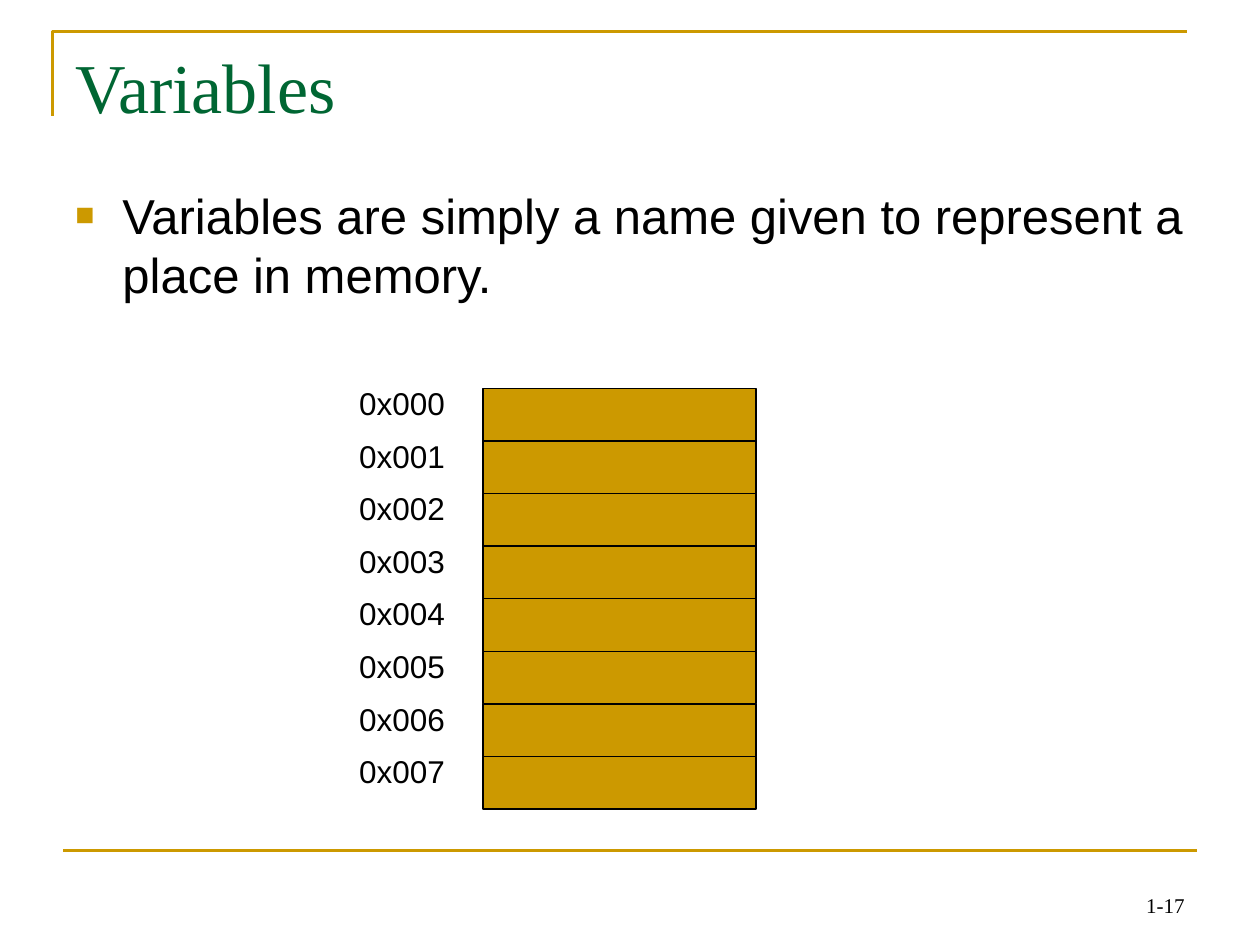
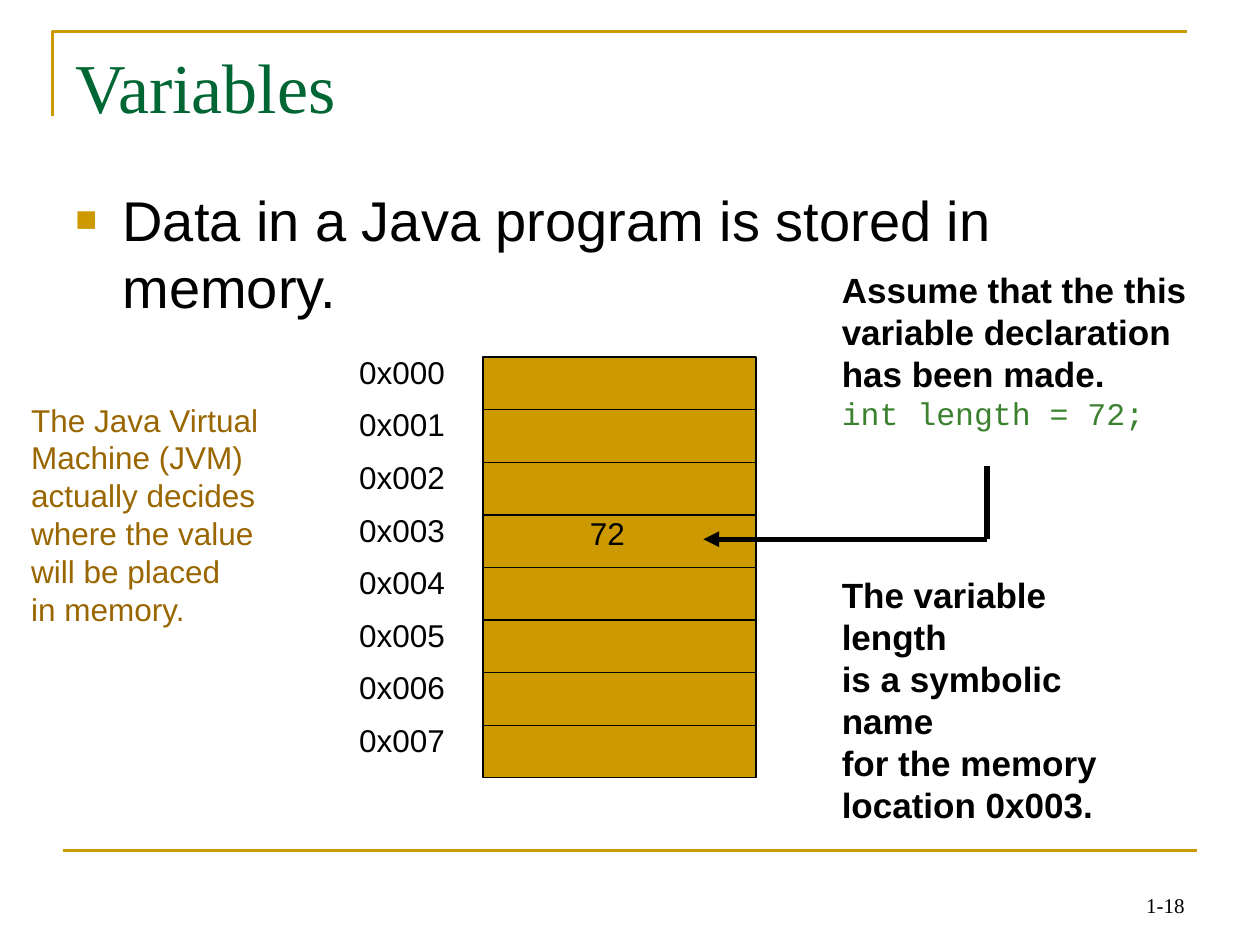
from dataclasses import dataclass

from lxml import etree
from pptx import Presentation
from pptx.dml.color import RGBColor
from pptx.enum import shapes, text
from pptx.oxml import ns
from pptx.util import Cm, Pt


@dataclass(frozen=True)
class Style:
    font: str
    size: int
    color: str
    bold: bool = False


@dataclass(frozen=True)
class Theme:
    gold: str = "CC9900"
    black: str = "000000"
    title: Style = Style("Times New Roman", 40, "006633")
    number: Style = Style("Times New Roman", 12, "000000")
    body: Style = Style("Arial", 28, "000000")
    large_body: Style = Style("Arial", 32, "000000")
    label: Style = Style("Arial", 18, "000000")
    aside: Style = Style("Arial", 18, "996600")
    note: Style = Style("Arial", 20, "000000", True)
    code: Style = Style("Courier New", 18, "3B812F")
    rule_width: float = 1.5
    cell_width: float = 0.75
    arrow_width: float = 3


@dataclass(frozen=True)
class Box:
    left: float
    top: float
    width: float
    height: float

    def region(self, left, top, width, height):
        return Box(self.left + left, self.top + top, width, height)

    def lengths(self):
        return Cm(self.left), Cm(self.top), Cm(self.width), Cm(self.height)


THEME = Theme()
PAGE = Box(0, 0, 25.4, 19.05)
ROW_HEIGHT = 1.06
ROW_COUNT = 8


def add_text(parent, box, lines, align=text.PP_ALIGN.LEFT, anchor=text.MSO_ANCHOR.TOP):
    frame = parent.add_textbox(*box.lengths()).text_frame
    frame.word_wrap = True
    frame.vertical_anchor = anchor
    for index, (words, style) in enumerate(lines):
        para = frame.paragraphs[0] if index == 0 else frame.add_paragraph()
        para.alignment = align
        span = para.add_run()
        span.text = words
        span.font.name = style.font
        span.font.size = Pt(style.size)
        span.font.bold = style.bold
        span.font.color.rgb = RGBColor.from_string(style.color)
    return frame


def set_line(shape, color, width):
    shape.line.color.rgb = RGBColor.from_string(color)
    shape.line.width = Pt(width)


def add_rule(parent, start, end, color, width, arrow=False):
    rule = parent.add_connector(
        shapes.MSO_CONNECTOR.STRAIGHT, *(Cm(value) for value in start + end)
    )
    set_line(rule, color, width)
    if arrow:
        head = etree.SubElement(rule.line._get_or_add_ln(), ns.qn("a:tailEnd"))
        head.set("type", "triangle")
    etree.SubElement(rule._element.spPr, ns.qn("a:effectLst"))


def add_bullet(para, color):
    props = para._p.get_or_add_pPr()
    props.set("marL", str(Cm(0.95)))
    props.set("indent", str(-Cm(0.95)))
    tint = etree.SubElement(props, ns.qn("a:buClr"))
    etree.SubElement(tint, ns.qn("a:srgbClr")).set("val", color)
    etree.SubElement(props, ns.qn("a:buSzPct")).set("val", "65000")
    etree.SubElement(props, ns.qn("a:buFont")).set("typeface", "Arial")
    etree.SubElement(props, ns.qn("a:buChar")).set("char", "■")


def draw_frame(page, box, number):
    corner = box.region(1.06, 0.64, 22.86, 1.69)
    builder = page.shapes.build_freeform(
        Cm(corner.left), Cm(corner.top + corner.height)
    )
    builder.add_line_segments(
        [
            (Cm(corner.left), Cm(corner.top)),
            (Cm(corner.left + corner.width), Cm(corner.top)),
        ],
        close=False,
    )
    outline = builder.convert_to_shape()
    outline.shadow.inherit = False
    outline.fill.background()
    set_line(outline, THEME.gold, THEME.rule_width)

    base = box.region(1.27, 17.15, 22.86, 0)
    add_rule(
        page.shapes,
        (base.left, base.top),
        (base.left + base.width, base.top),
        THEME.gold,
        THEME.rule_width,
    )
    add_text(
        page.shapes,
        box.region(18.21, 17.35, 5.92, 1.27),
        [(number, THEME.number)],
        text.PP_ALIGN.RIGHT,
        text.MSO_ANCHOR.BOTTOM,
    )


def draw_statement(page, box, title, statement, style):
    add_text(page.shapes, box.region(0, 0, box.width, 3.18), [(title, THEME.title)])
    frame = add_text(
        page.shapes, box.region(0, 2.85, box.width, 13.44), [(statement, style)]
    )
    add_bullet(frame.paragraphs[0], THEME.gold)


def draw_memory(page, box):
    group = page.shapes.add_group_shape().shapes
    for row in range(ROW_COUNT):
        top = row * ROW_HEIGHT
        cell = group.add_shape(
            shapes.MSO_SHAPE.RECTANGLE,
            *box.region(2.75, top + 0.21, 5.5, ROW_HEIGHT).lengths(),
        )
        cell.shadow.inherit = False
        cell.fill.solid()
        cell.fill.fore_color.rgb = RGBColor.from_string(THEME.gold)
        set_line(cell, THEME.black, THEME.cell_width)
        add_text(group, box.region(0, top, 2.62, 1.27), [(f"0x{row:03}", THEME.label)])


def draw_aside(page, box):
    lines = (
        "The Java Virtual",
        "Machine (JVM)",
        "actually decides",
        "where the value",
        "will be placed",
        "in memory.",
    )
    add_text(page.shapes, box, [(line, THEME.aside) for line in lines])


def draw_declaration(page, box):
    group = page.shapes.add_group_shape().shapes
    assumption = ("Assume that the this", "variable declaration", "has been made.")
    meaning = (
        "The variable length",
        "is a symbolic name",
        "for the memory",
        "location 0x003.",
    )
    add_text(group, box.region(0, 4.95, 1.35, 1.27), [("72", THEME.label)])
    add_text(
        group,
        box.region(5.08, 0, 8.64, 3.81),
        [(line, THEME.note) for line in assumption]
        + [("int length = 72;", THEME.code)],
    )
    add_text(
        group,
        box.region(5.08, 6.15, 6.4, 3.63),
        [(line, THEME.note) for line in meaning],
    )
    elbow = (box.left + 8.26, box.top + 5.59)
    tip = (box.left + 2.54, elbow[1])
    source = (elbow[0], box.top + 4.11)
    add_rule(group, elbow, tip, THEME.black, THEME.arrow_width, arrow=True)
    add_rule(group, elbow, source, THEME.black, THEME.arrow_width)


def add_page(deck, number, statement, style, memory_top):
    page = deck.slides.add_slide(deck.slide_layouts[6])
    draw_frame(page, PAGE, number)
    draw_statement(
        page, PAGE.region(1.27, 0.76, 22.86, 16.29), "Variables", statement, style
    )
    draw_memory(page, PAGE.region(6.99, memory_top, 8.25, 8.7))
    return page


def main():
    deck = Presentation()
    deck.slide_width, deck.slide_height = Cm(PAGE.width), Cm(PAGE.height)
    add_page(
        deck,
        "1-17",
        "Variables are simply a name given to represent a place in memory.",
        THEME.body,
        7.62,
    )
    page = add_page(
        deck,
        "1-18",
        "Data in a Java program is stored in memory.",
        THEME.large_body,
        6.99,
    )
    draw_aside(page, PAGE.region(0.38, 7.95, 6.15, 6.35))
    draw_declaration(page, PAGE.region(11.64, 5.28, 13.72, 9.78))
    deck.save("out.pptx")


if __name__ == "__main__":
    main()
